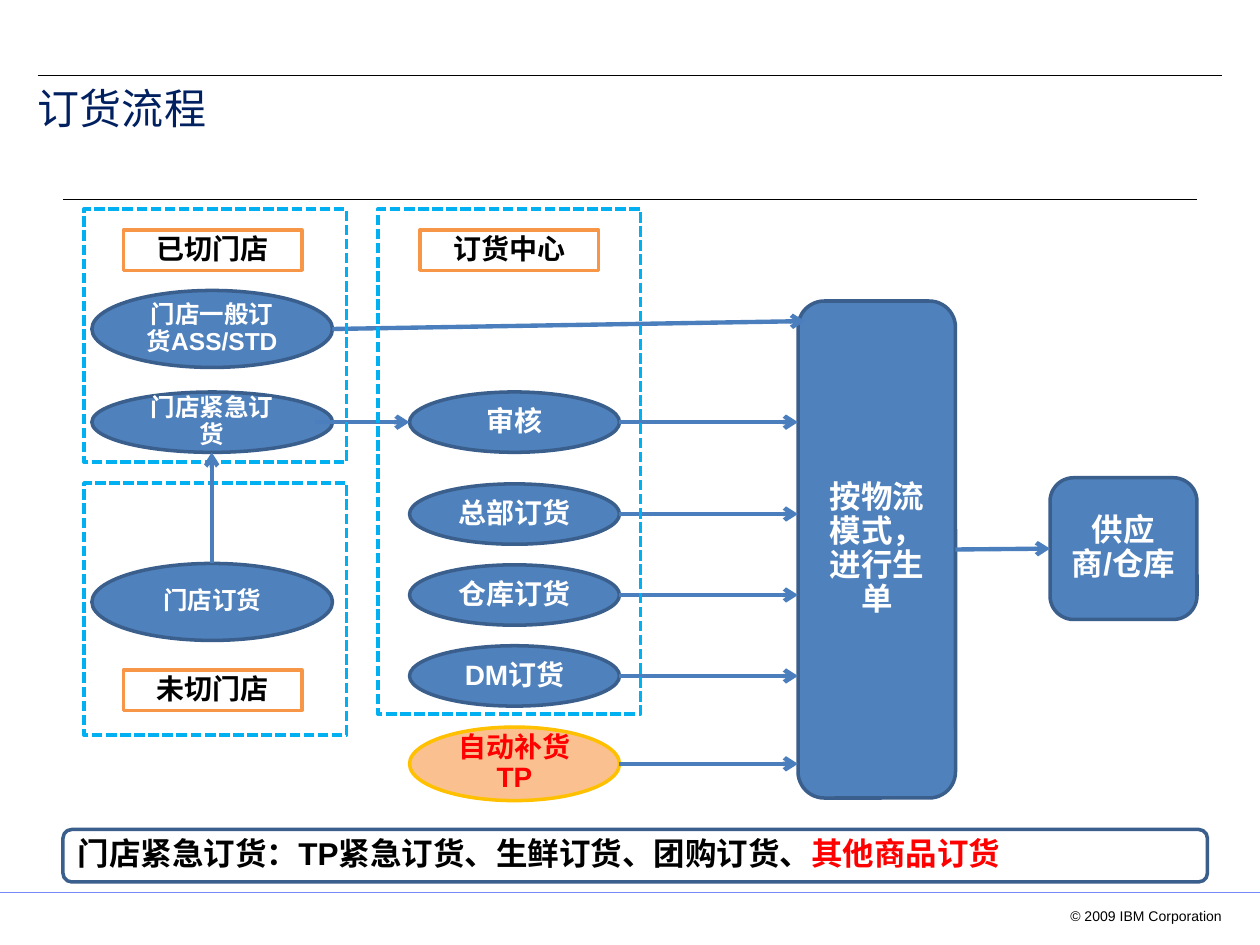
from dataclasses import dataclass
from typing import Optional

from lxml.etree import SubElement
from pptx import Presentation
from pptx.dml.color import RGBColor
from pptx.enum.dml import MSO_LINE_DASH_STYLE as Dash
from pptx.enum.shapes import MSO_CONNECTOR as Link, MSO_SHAPE as Kind
from pptx.enum.text import MSO_ANCHOR as Anchor, PP_ALIGN as Align
from pptx.oxml.ns import qn
from pptx.util import Pt

BLUE, EDGE, WIRE = "4F81BD", "3A5F8C", "4B7EBC"
WHITE, BLACK, RED = "FFFFFF", "000000", "FF0000"
ORANGE, CYAN = "F79646", "00B0F0"
HAN = "Noto Sans CJK SC"


@dataclass
class Node:
    text: str
    left: float
    top: float
    width: float
    height: float
    size: float = 16
    kind: int = Kind.OVAL
    fill: Optional[str] = BLUE
    edge: str = EDGE
    ink: str = WHITE
    dash: bool = False

    @property
    def right(self) -> float:
        return self.left + self.width

    @property
    def mid(self) -> float:
        return self.top + self.height / 2


def color(code: str) -> RGBColor:
    return RGBColor.from_string(code)


def style(run, size: float, ink: str, bold: bool = True, face: str = "Arial") -> None:
    font = run.font
    font.size, font.bold, font.name = Pt(size), bold, face
    font.color.rgb = color(ink)
    SubElement(run._r.get_or_add_rPr(), qn("a:ea"), typeface=HAN)


def draw(slide, node: Node):
    shape = slide.shapes.add_shape(
        node.kind, Pt(node.left), Pt(node.top), Pt(node.width), Pt(node.height))
    shape.shadow.inherit = False
    if node.fill:
        shape.fill.solid()
        shape.fill.fore_color.rgb = color(node.fill)
    else:
        shape.fill.background()
    shape.line.color.rgb = color(node.edge)
    shape.line.width = Pt(2)
    if node.dash:
        shape.line.dash_style = Dash.SQUARE_DOT
    if node.text:
        frame = shape.text_frame
        frame.text = node.text
        frame.word_wrap = True
        frame.vertical_anchor = Anchor.MIDDLE
        para = frame.paragraphs[0]
        para.alignment, para.line_spacing = Align.CENTER, 0.9
        style(para.runs[0], node.size, node.ink)
    return shape


def rule(slide, x1: float, y1: float, x2: float, y2: float,
         ink: str = WIRE, width: float = 2.5, arrow: bool = True) -> None:
    line = slide.shapes.add_connector(Link.STRAIGHT, Pt(x1), Pt(y1), Pt(x2), Pt(y2))
    line.line.color.rgb = color(ink)
    line.line.width = Pt(width)
    if arrow:
        SubElement(line.line._get_or_add_ln(), qn("a:tailEnd"), type="arrow")
    SubElement(line._element.spPr, qn("a:effectLst"))


def store(text: str, top: float, height: float) -> Node:
    return Node(text, 52.5, top, 137.5, height, 14)


def step(text: str, top: float) -> Node:
    return Node(text, 234, top, 120, 34.5)


def label(text: str, left: float, top: float) -> Node:
    return Node(text, left, top, 102, 23, 16, Kind.RECTANGLE, None, ORANGE, BLACK)


def area(left: float, top: float, height: float) -> Node:
    return Node("", left, top, 150, height, 16, Kind.RECTANGLE, None, CYAN, dash=True)


def head(slide) -> None:
    title = slide.shapes.title
    title.left, title.top, title.width, title.height = Pt(14.5), Pt(47), Pt(684), Pt(59)
    frame = title.text_frame
    frame.text = "订货流程"
    frame.vertical_anchor = Anchor.TOP
    para = frame.paragraphs[0]
    para.alignment, para.line_spacing = Align.LEFT, 0.9
    style(para.runs[0], 24, "002060", False, HAN)


def foot(slide) -> None:
    box = slide.shapes.add_textbox(Pt(597.5), Pt(515), Pt(108), Pt(14.5))
    frame = box.text_frame
    frame.word_wrap = True
    frame.text = "© 2009 IBM Corporation"
    para = frame.paragraphs[0]
    para.alignment = Align.RIGHT
    style(para.runs[0], 8, BLACK, False)


def note(slide) -> None:
    bar = draw(slide, Node("", 36, 474, 654, 30, 18, Kind.ROUNDED_RECTANGLE, None))
    frame = bar.text_frame
    frame.word_wrap = True
    frame.vertical_anchor = Anchor.MIDDLE
    para = frame.paragraphs[0]
    para.alignment, para.line_spacing = Align.LEFT, 0.9
    for text, ink in (("门店紧急订货：TP紧急订货、生鲜订货、团购订货、", BLACK),
                      ("其他商品订货", RED)):
        run = para.add_run()
        run.text = text
        style(run, 18, ink)


def main() -> None:
    deck = Presentation()
    deck.slide_width, deck.slide_height = Pt(720), Pt(540)
    slide = deck.slides.add_slide(deck.slide_layouts[5])

    head(slide)
    foot(slide)
    rule(slide, 21.5, 43, 698.5, 43, BLACK, 0.75, False)
    rule(slide, 0, 510, 720, 510, "7889FB", 1, False)
    rule(slide, 36, 114, 684, 114, BLACK, 1, False)

    usual = store("门店一般订货ASS/STD", 166, 44)
    urgent = store("门店紧急订货", 224, 34.5)
    plain = store("门店订货", 322, 44)
    check = step("审核", 224)
    names = ("总部订货", "仓库订货", "DM订货")
    steps = [check] + [step(name, 276.5 + 46.25 * i) for i, name in enumerate(names)]
    auto = Node("自动补货TP", 234, 415.5, 120, 42, fill="FAC090", edge="FFC000", ink=RED)
    hub = Node("按物流模式，进行生单", 456, 172, 90, 284, 18, Kind.ROUNDED_RECTANGLE)
    vendor = Node("供应商/仓库", 600, 273, 84, 81, 18, Kind.ROUNDED_RECTANGLE)
    labels = [label("已切门店", 70.5, 131.5), label("订货中心", 240, 131.5),
              label("未切门店", 70.5, 383)]
    areas = [area(48, 119.5, 144.5), area(216, 119.5, 288.5), area(48, 276, 144)]

    for node in [usual, urgent, plain, *steps, auto, hub, vendor, *labels]:
        draw(slide, node)

    rule(slide, usual.right, usual.mid, 460, 183.5)
    rule(slide, 180, urgent.mid, check.left, check.mid)
    for node in [*steps, auto]:
        rule(slide, node.right, node.mid, hub.left, node.mid)
    rule(slide, hub.right, hub.mid, vendor.left, vendor.mid)
    for node in areas:
        draw(slide, node)
    rule(slide, 121, plain.top, 121, urgent.top + urgent.height)
    note(slide)
    deck.save("out.pptx")


if __name__ == "__main__":
    main()
